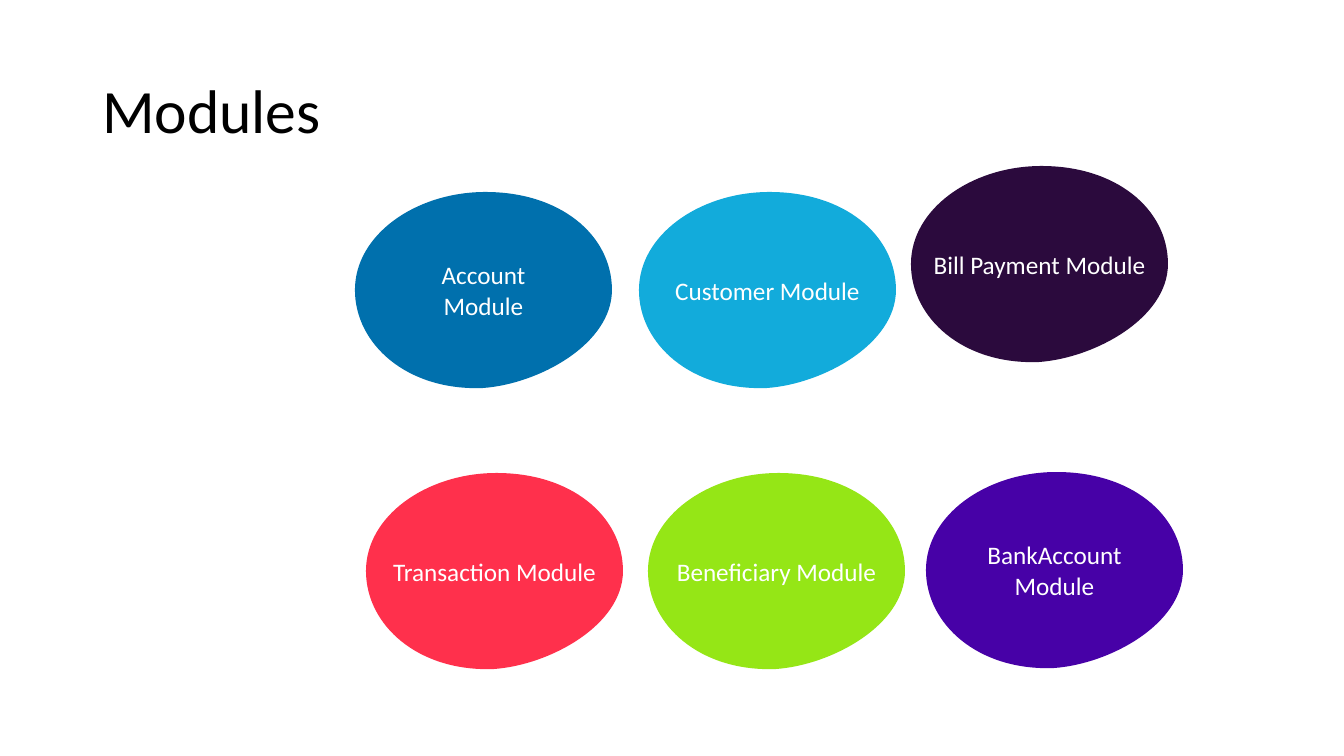
"""Build the Modules slide: a title and six coloured module blobs."""
from dataclasses import dataclass
from lxml.etree import SubElement
from pptx import Presentation
from pptx.dml.color import RGBColor as RGB
from pptx.enum.text import MSO_ANCHOR as ANCHOR, MSO_AUTO_SIZE as AUTO, PP_ALIGN as ALIGN
from pptx.oxml.ns import qn
from pptx.util import Pt

MODULES = [
    ("Beneficiary Module", (648, 473), "95E616"),
    ("Transaction Module", (366, 473), "FF304C"),
    ("Customer Module", (639, 192), "12ABDB"),
    ("Account\nModule", (355, 192), "0070AD"),
    ("Bill Payment Module", (911, 166), "2B0A3D"),
    ("BankAccount\nModule", (926, 472), "4701A7"),
]
BLOB_START = (0, 98)
BLOB_CURVES = [
    ((0, 43), (60, 1), (128, 0)),
    ((205, -1), (257, 43), (257, 98)),
    ((257, 152), (184, 192), (128, 196)),
    ((52, 199), (0, 152), (0, 98)),
]
TITLE_BOX = {"left": 92, "top": 41, "width": 1159, "height": 146}
SLIDE_SIZE = (1344, 756)


@dataclass(frozen=True)
class Theme:
    font: str = "Calibri"
    title_size: int = 44
    label_size: int = 18
    title_color: str = "000000"
    label_color: str = "FFFFFF"


THEME = Theme()


def px(n):
    """Turn pixels into EMU."""
    return round(n * 914400 / 100.8)


def write(tf, text, size, color, align, **paragraph_format):
    """Write one formatted paragraph per line of text."""
    frame = {"word_wrap": True, "vertical_anchor": ANCHOR.MIDDLE, "auto_size": AUTO.NONE}
    for name, value in frame.items():
        setattr(tf, name, value)
    tf.text = text
    for p in tf.paragraphs:
        for name, value in {"alignment": align, **paragraph_format}.items():
            setattr(p, name, value)
        r = p.runs[0]
        for name, value in {"name": THEME.font, "size": Pt(size)}.items():
            setattr(r.font, name, value)
        r.font.color.rgb = RGB.from_string(color)


def bend(sp):
    """Turn the straight sides of a blob into its Bezier curves."""
    sides = list(sp._element.iter(qn("a:lnTo")))
    for side, curve in zip(sides, BLOB_CURVES):
        side.tag = qn("a:cubicBezTo")
        for pt in list(side):
            side.remove(pt)
        for x, y in curve:
            SubElement(side, qn("a:pt"), x=str(px(x)), y=str(px(y)))


def add_blob(s, text, corner, color):
    """Draw one module blob with its label."""
    builder = s.shapes.build_freeform(*map(px, BLOB_START))
    builder.add_line_segments([tuple(map(px, curve[-1])) for curve in BLOB_CURVES], close=True)
    sp = builder.convert_to_shape(*map(px, corner))
    bend(sp)
    sp.shadow.inherit = False
    sp.fill.solid()
    sp.fill.fore_color.rgb = RGB.from_string(color)
    sp.line.fill.background()
    write(sp.text_frame, text, THEME.label_size, THEME.label_color, ALIGN.CENTER)


prs = Presentation()
prs.slide_width, prs.slide_height = map(px, SLIDE_SIZE)
s = prs.slides.add_slide(prs.slide_layouts[5])
title = s.shapes.title
for name, value in TITLE_BOX.items():
    setattr(title, name, px(value))
write(title.text_frame, "Modules", THEME.title_size, THEME.title_color, ALIGN.LEFT, line_spacing=0.9)
for module in MODULES:
    add_blob(s, *module)
prs.save("out.pptx")
